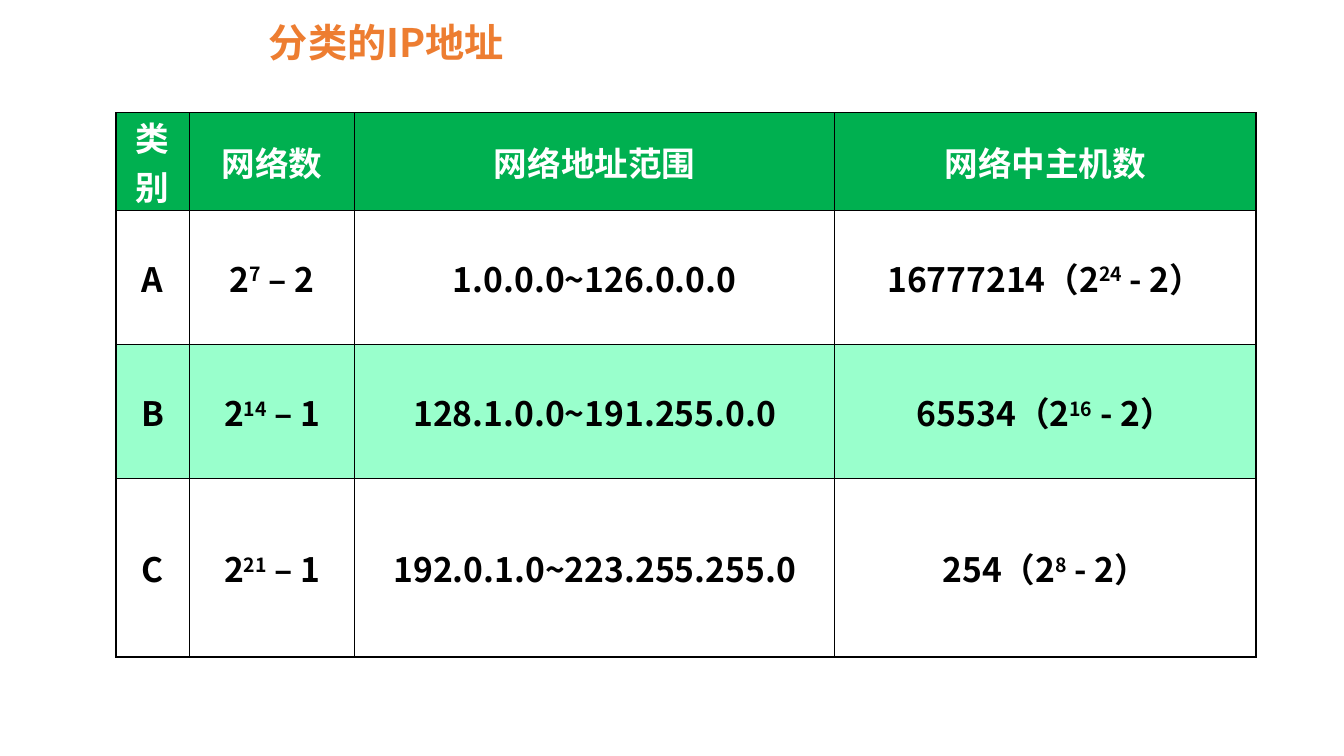
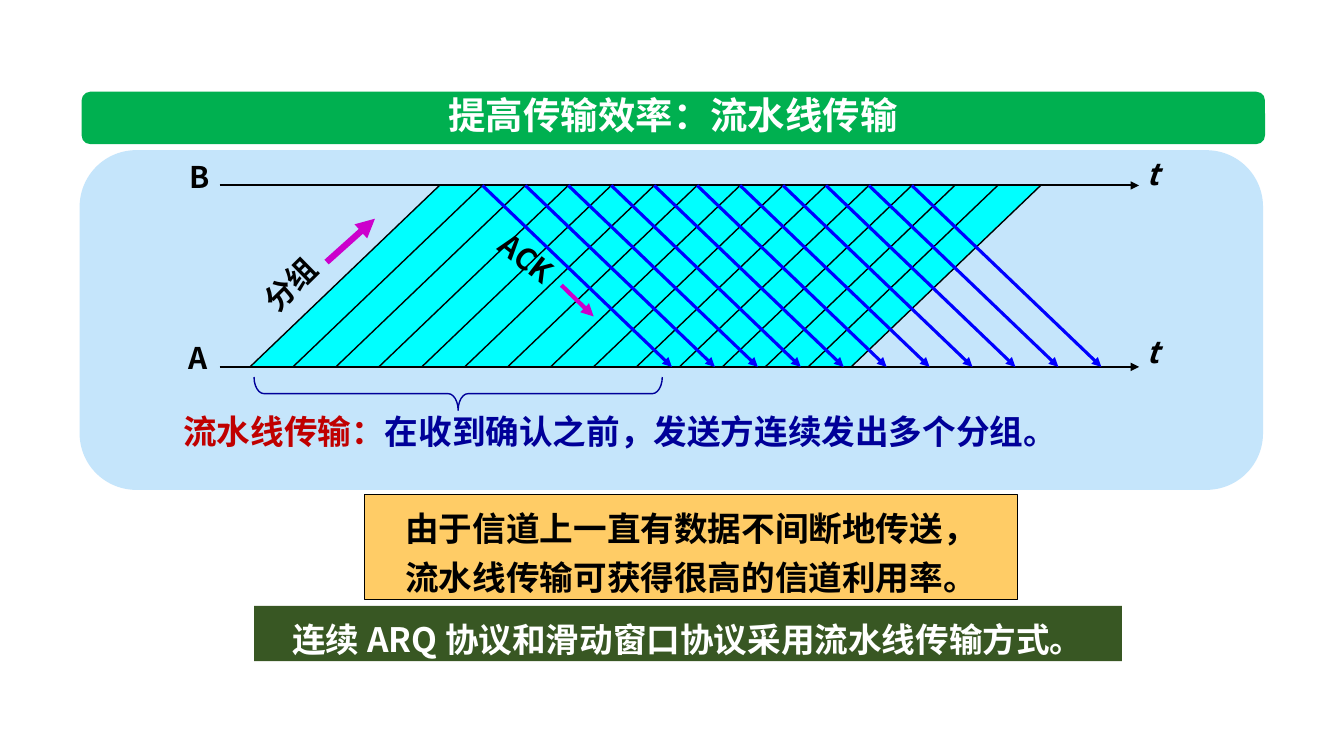
from lxml import etree
from pptx import Presentation
from pptx.dml.color import RGBColor
from pptx.enum.shapes import MSO_CONNECTOR, MSO_SHAPE
from pptx.enum.text import MSO_ANCHOR, MSO_AUTO_SIZE, PP_ALIGN
from pptx.oxml.ns import qn
from pptx.util import Inches, Pt

RECT, ROUND, BRACE = MSO_SHAPE.RECTANGLE, MSO_SHAPE.ROUNDED_RECTANGLE, MSO_SHAPE.LEFT_BRACE
STRAIGHT = MSO_CONNECTOR.STRAIGHT
TOP, MIDDLE = MSO_ANCHOR.TOP, MSO_ANCHOR.MIDDLE
LEFT, CENTER = PP_ALIGN.LEFT, PP_ALIGN.CENTER
GROW = MSO_AUTO_SIZE.SHAPE_TO_FIT_TEXT

FONT = "Noto Sans CJK SC"
COLS, ROWS = 133.33, 75
COLORS = {
    "white": "FFFFFF", "black": "000000", "orange": "ED7D31", "green": "00B050",
    "mint": "99FFCC", "sky": "C5E5FB", "cyan": "00FFFF", "blue": "0000FF",
    "navy": "000099", "red": "C00000", "magenta": "CC00CC", "amber": "FFCC66",
    "forest": "385723",
}
ADDRESS_ROWS = [
    ("类别", "网络数", "网络地址范围", "网络中主机数"),
    ("A", "2^7^ – 2", "1.0.0.0~126.0.0.0", "16777214（2^24^ - 2）"),
    ("B", "2^14^ – 1", "128.1.0.0~191.255.0.0", "65534（2^16^ - 2）"),
    ("C", "2^21^ – 1", "192.0.1.0~223.255.255.0", "254（2^8^ - 2）"),
]
ROW_STYLES = [("green", "white"), (None, "black"), ("mint", "black"), (None, "black")]


def grid(*cells):
    """Turn grid cells of a tenth of an inch into lengths."""
    return [Inches(c / 10) for c in cells]


def rgb(name):
    """Look up a named colour."""
    return RGBColor.from_string(COLORS[name])


def style(p, size, color, align=LEFT, spacing=None, italic=False):
    """Give a paragraph the deck's bold font."""
    p.alignment = align
    if spacing:
        p.line_spacing = Pt(spacing)
    f = p.font
    f.name, f.size, f.bold = FONT, Pt(size), True
    f.color.rgb = rgb(color)
    if italic:
        f.italic = True
    props = p._p.get_or_add_pPr().find(qn("a:defRPr"))
    etree.SubElement(props, qn("a:ea"), typeface=FONT)


def write(tf, lines, size, color, **kw):
    """Fill a text frame with one paragraph per line."""
    for i, line in enumerate(lines):
        p = tf.paragraphs[0] if i == 0 else tf.add_paragraph()
        style(p, size, color, **kw)
        p.add_run().text = line


def add_text(slide, box, text, size, color, wrap=True, rotation=0, **kw):
    """Add a text box that grows with its text."""
    sp = slide.shapes.add_textbox(*grid(*box))
    sp.rotation = rotation
    tf = sp.text_frame
    tf.word_wrap, tf.auto_size = wrap, GROW
    write(tf, [text], size, color, **kw)
    return sp


def paint(sp, fill=None, line=None, width=0.75):
    """Set a shape's fill and outline and drop its shadow."""
    sp.shadow.inherit = False
    if fill:
        sp.fill.solid()
        sp.fill.fore_color.rgb = rgb(fill)
    else:
        sp.fill.background()
    if line:
        sp.line.color.rgb = rgb(line)
        sp.line.width = Pt(width)
    else:
        sp.line.fill.background()


def add_shape(slide, kind, box, **kw):
    """Add a painted preset shape."""
    sp = slide.shapes.add_shape(kind, *grid(*box))
    paint(sp, **kw)
    return sp


def add_line(slide, start, end, color, width, arrow=False):
    """Add a straight line, with an arrowhead at its end if asked."""
    c = slide.shapes.add_connector(STRAIGHT, *grid(*start, *end))
    c.line.color.rgb = rgb(color)
    c.line.width = Pt(width)
    if arrow:
        etree.SubElement(c.line._get_or_add_ln(), qn("a:tailEnd"), type="triangle")
    etree.SubElement(c._element.spPr, qn("a:effectLst"))


def add_borders(cell):
    """Draw thin black borders on all sides of a cell."""
    props = cell._tc.get_or_add_tcPr()
    for side in ("lnL", "lnR", "lnT", "lnB"):
        ln = etree.SubElement(props, qn("a:" + side), w=str(Pt(1)))
        fill = etree.SubElement(ln, qn("a:solidFill"))
        etree.SubElement(fill, qn("a:srgbClr"), val=COLORS["black"])


def fill_cell(cell, text, fill, color):
    """Style a cell and write its text, raising parts between carets."""
    add_borders(cell)
    if fill:
        cell.fill.solid()
        cell.fill.fore_color.rgb = rgb(fill)
    else:
        cell.fill.background()
    cell.vertical_anchor = MIDDLE
    cell.margin_left = cell.margin_right = Inches(0.07)
    cell.margin_top = cell.margin_bottom = 0
    p = cell.text_frame.paragraphs[0]
    style(p, 24, color, align=CENTER)
    for i, part in enumerate(text.split("^")):
        r = p.add_run()
        r.text = part
        if i % 2:
            r._r.get_or_add_rPr().set("baseline", "30000")


def address_table(slide, box):
    """Build the table of address classes in a box."""
    x, y, w, h = box
    frame = slide.shapes.add_table(len(ADDRESS_ROWS), len(ADDRESS_ROWS[0]), *grid(*box))
    table = frame.table
    table.first_row = table.horz_banding = False
    widths, heights = (7.3, 16.4, 47.6, 41.8), (8.8, 13.3, 13.3, 17.7)
    for col, share in zip(table.columns, widths):
        col.width = Inches(w / 10 * share / sum(widths))
    for row, share in zip(table.rows, heights):
        row.height = Inches(h / 10 * share / sum(heights))
    for row, texts, colors in zip(table.rows, ADDRESS_ROWS, ROW_STYLES):
        for cell, text in zip(row.cells, texts):
            fill_cell(cell, text, *colors)


def pipeline(slide, box):
    """Draw the time diagram of pipelined packets and their replies."""
    x, y, w, h = box
    step, run, packets, acks = 4.26, 18.8, 15, 11
    top, bottom, start = y + 3.5, y + 21.5, x + 16.9
    last = start + (packets - 1) * step

    corners = [(start, bottom), (start + run, top), (last + run, top), (last, bottom)]
    points = [tuple(grid(*c)) for c in corners]
    builder = slide.shapes.build_freeform(*points[0], scale=1.0)
    builder.add_line_segments(points[1:], close=True)
    paint(builder.convert_to_shape(), fill="cyan")

    for name, axis, dx, dy, t_dy in (("B", top, 9.9, -3.1, -3.4), ("A", bottom, 9.8, -3.2, -3.8)):
        add_line(slide, (x + 13.9, axis), (x + 105.1, axis), "black", 1.5, arrow=True)
        add_text(slide, (x + dx, axis + dy, 4.2, 4.6), name, 21.3, "black", wrap=False)
        add_text(slide, (x + 104.9, axis + t_dy, 3.3, 4.6), "t", 21.3, "black",
                 wrap=False, italic=True)
    for i in range(packets):
        left = start + i * step
        add_line(slide, (left, bottom), (left + run, top), "black", 1)
    for i in range(1, acks + 1):
        left = start + run + i * step
        add_line(slide, (left, top), (left + run, bottom), "blue", 2.25, arrow=True)

    add_text(slide, (x + 17, y + 11, 8, 4.6), "分组", 21.3, "black", wrap=False, rotation=315.3)
    add_line(slide, (x + 24.5, y + 11.1), (x + 29.3, y + 6.8), "magenta", 4.5, arrow=True)
    add_text(slide, (x + 40.4, y + 8.6, 8.3, 4.6), "ACK", 21.3, "black", wrap=False, rotation=37.8)
    add_line(slide, (x + 47.8, y + 13.4), (x + 51, y + 16.5), "magenta", 3, arrow=True)


def pipeline_panel(slide, box):
    """Draw the rounded panel with its diagram, brace and caption."""
    x, y, w, h = box
    add_shape(slide, ROUND, box, fill="sky")
    pipeline(slide, box)
    brace = add_shape(slide, BRACE, (x + 35.9, y + 3.9, 3.3, 40.5), line="navy", width=1)
    brace.rotation = 270
    brace.adjustments[0] = 0.3
    caption = add_text(slide, (x + 9.3, y + 25.4, 89.5, 5), "流水线传输：", 24, "navy")
    p = caption.text_frame.paragraphs[0]
    p.runs[0].font.color.rgb = rgb("red")
    p.add_run().text = "在收到确认之前，发送方连续发出多个分组。"


def title_band(slide, box, text):
    """Draw the rounded green band with its heading."""
    sp = add_shape(slide, ROUND, box, fill="green")
    tf = sp.text_frame
    tf.word_wrap, tf.vertical_anchor = True, MIDDLE
    tf.margin_top, tf.margin_bottom = 0, Inches(0.07)
    write(tf, [text], 26.7, "white", align=CENTER)


def note(slide, box, lines, color, **kw):
    """Draw a filled box with centred lines of text."""
    sp = add_shape(slide, RECT, box, **kw)
    tf = sp.text_frame
    tf.word_wrap, tf.vertical_anchor, tf.auto_size = True, TOP, GROW
    write(tf, lines, 24, color, align=CENTER, spacing=34.7)


def address_slide(slide):
    """Build the slide on address classes."""
    address_table(slide, (11.5, 11.2, 113.1, 53.1))
    add_text(slide, (25.7, 1.3, 80.3, 6), "分类的IP地址", 28, "orange")


def pipeline_slide(slide):
    """Build the slide on pipelined transmission."""
    pipeline_panel(slide, (7.9, 14.9, 117.4, 33.7))
    title_band(slide, (8.1, 9.1, 117.4, 5.2), "提高传输效率：流水线传输")
    note(slide, (36.2, 49.1, 64.7, 10.4),
         ["由于信道上一直有数据不间断地传送，", "流水线传输可获得很高的信道利用率。"],
         "black", fill="amber", line="black")
    note(slide, (25.2, 60.1, 86.1, 5.5),
         ["连续 ARQ 协议和滑动窗口协议采用流水线传输方式。"], "white", fill="forest")


def main():
    """Build and save the deck."""
    prs = Presentation()
    prs.slide_width, prs.slide_height = grid(COLS, ROWS)
    for build in (address_slide, pipeline_slide):
        build(prs.slides.add_slide(prs.slide_layouts[6]))
    prs.save("out.pptx")


if __name__ == "__main__":
    main()
